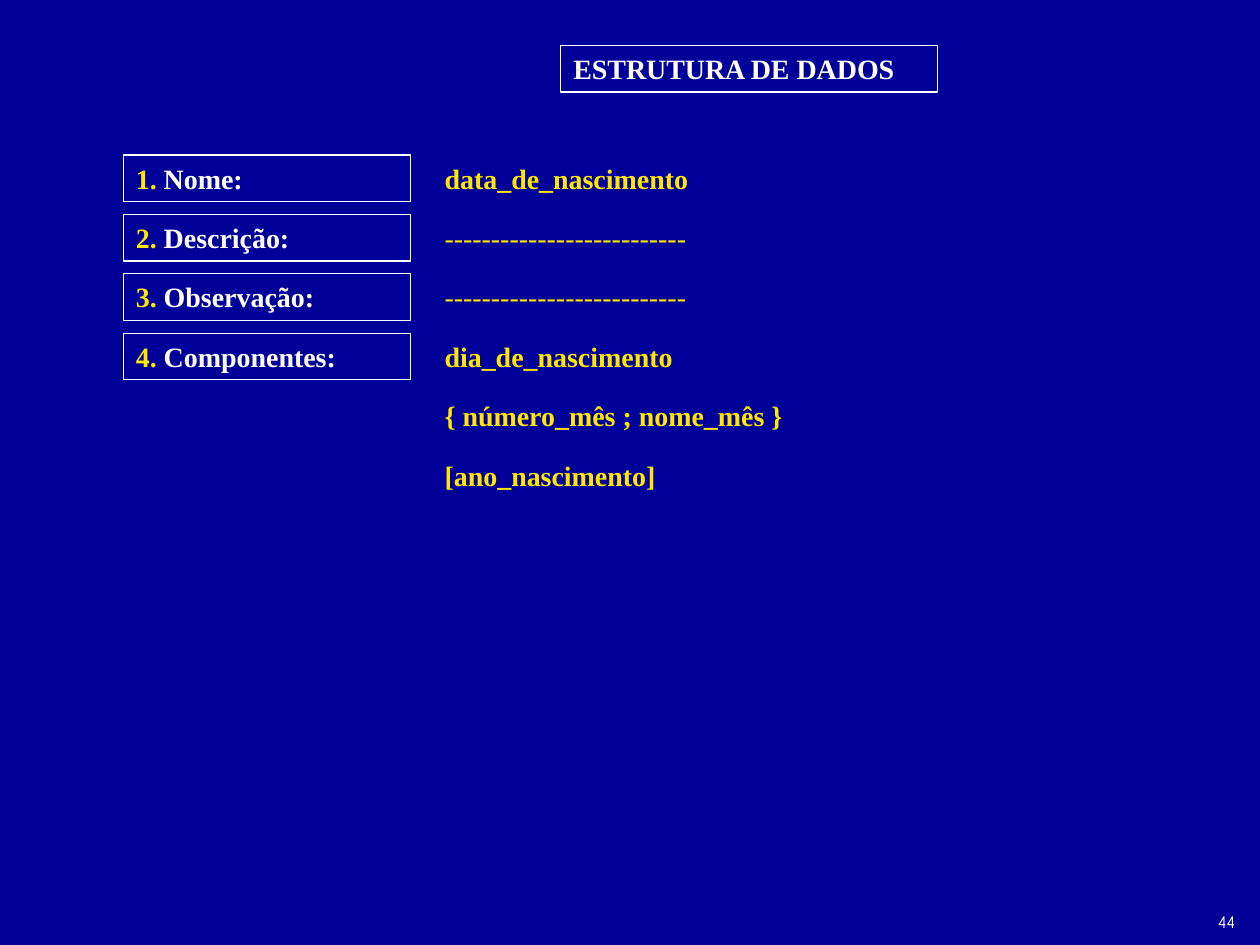
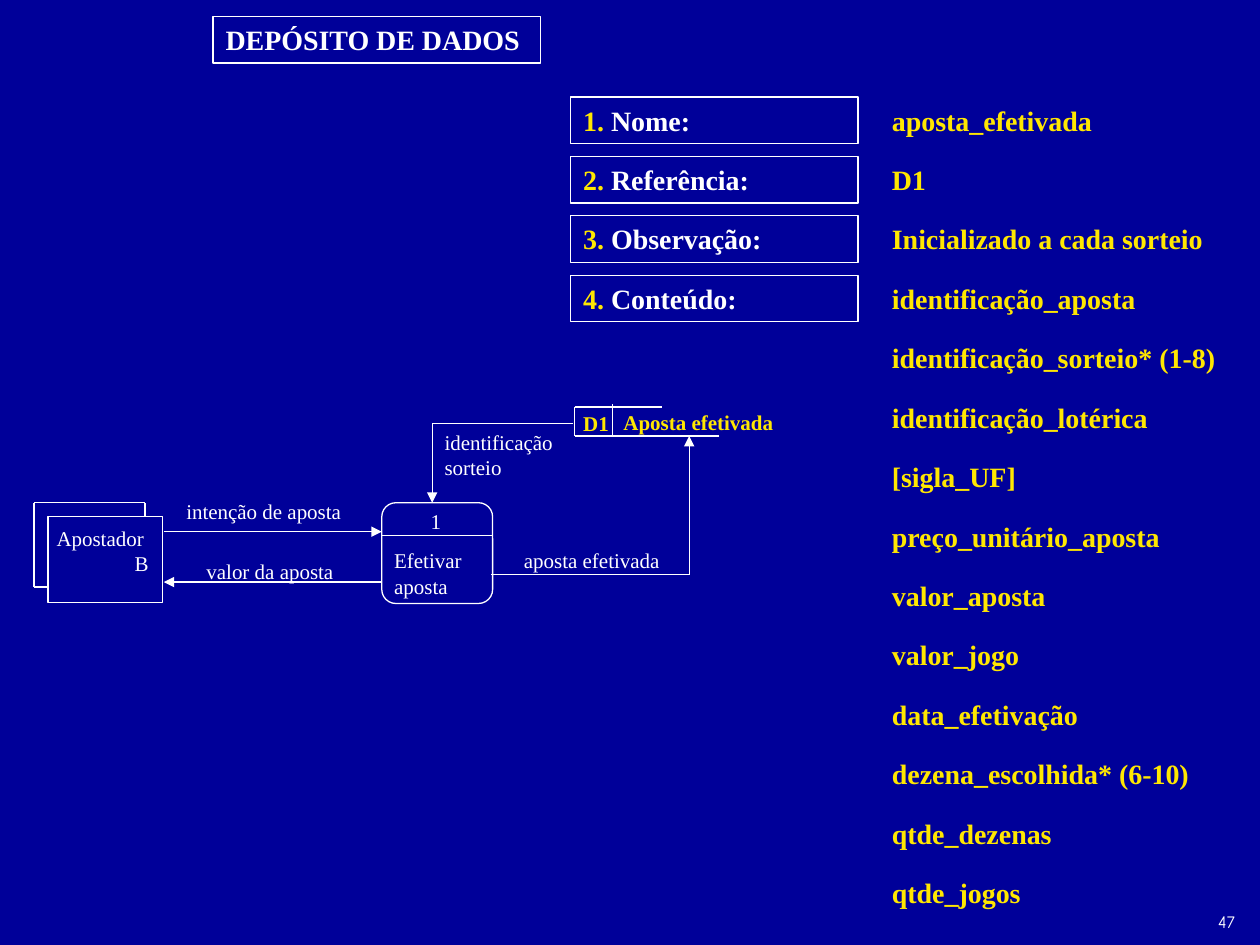
from itertools import pairwise

from lxml import etree
from pptx import Presentation
from pptx.dml.color import RGBColor
from pptx.enum.shapes import MSO_CONNECTOR, MSO_SHAPE
from pptx.enum.text import MSO_ANCHOR, MSO_AUTO_SIZE, PP_ALIGN
from pptx.oxml.ns import qn
from pptx.util import Inches, Pt

STRAIGHT = MSO_CONNECTOR.STRAIGHT
RECT, ROUNDED = MSO_SHAPE.RECTANGLE, MSO_SHAPE.ROUNDED_RECTANGLE
TOP, LEFT, NO_FIT = MSO_ANCHOR.TOP, PP_ALIGN.LEFT, MSO_AUTO_SIZE.NONE

BLUE = RGBColor(0x00, 0x00, 0x99)
WHITE = RGBColor(0xFF, 0xFF, 0xFF)
YELLOW = RGBColor(0xFF, 0xE7, 0x01)
SERIF, NUMBER_FONT = "Times New Roman", "Comic Neue"

# The slide is a grid of 100 columns by 75 rows
CELL = Inches(0.1)
COLS, ROWS = 100, 75
BOX_H = 3.7
LABEL_W = 22.8
VALUE_W = 29.1
VALUE_OFFSET = 24.5
FIELD_STEP = 61.3 / 13
TITLE_ONLY = 5


def grid(*cells):
    return [round(c * CELL) for c in cells]


def format_text(tf, size, color, bold=False, font=SERIF):
    tf.word_wrap = True
    tf.auto_size = NO_FIT
    tf.vertical_anchor = TOP
    for p in tf.paragraphs:
        p.alignment = LEFT
        for r in p.runs:
            r.font.name = font
            r.font.size = Pt(size)
            r.font.bold = bold
            r.font.color.rgb = color


def outline(sp):
    sp.fill.background()
    sp.line.color.rgb = WHITE
    sp.line.width = Pt(0.75)


def add_text(s, text, x, y, w, h, size=12, color=WHITE, bold=False, font=SERIF):
    tf = s.shapes.add_textbox(*grid(x, y, w, h)).text_frame
    tf.text = text
    format_text(tf, size, color, bold, font)
    return tf


def add_outline(s, kind, x, y, w, h):
    sp = s.shapes.add_shape(kind, *grid(x, y, w, h))
    sp.shadow.inherit = False
    outline(sp)
    return sp


def add_path(s, *points, arrow=False):
    """Straight lines through the points, with an optional head at the last."""
    for start, end in pairwise(points):
        line = s.shapes.add_connector(STRAIGHT, *grid(*start, *end))
        line.line.color.rgb = WHITE
        line.line.width = Pt(0.75)
        sp_pr = line._element.spPr
        etree.SubElement(sp_pr, qn("a:effectLst"))
        if arrow and end == points[-1]:
            etree.SubElement(line.line._get_or_add_ln(), qn("a:tailEnd"), type="triangle")


def add_slide(prs, title, x, y, w, number):
    s = prs.slides.add_slide(prs.slide_layouts[TITLE_ONLY])
    sp = s.shapes.title
    sp.left, sp.top, sp.width, sp.height = grid(x, y, w, BOX_H)
    outline(sp)
    sp.text_frame.text = title
    format_text(sp.text_frame, 16, WHITE, bold=True)
    add_text(s, number, 95.7, 71.8, 3.9, 2.7, size=10, font=NUMBER_FONT)
    return s


def add_label(s, number, name, x, y):
    sp = add_outline(s, RECT, x, y, LABEL_W, BOX_H)
    p = sp.text_frame.paragraphs[0]
    number_run, name_run = p.add_run(), p.add_run()
    number_run.text, name_run.text = f"{number}.", f" {name}:"
    format_text(sp.text_frame, 16, WHITE, bold=True)
    number_run.font.color.rgb = YELLOW


def add_fields(s, x, y, labels, values):
    """Numbered labels with their values beside them, one per step."""
    for i, name in enumerate(labels):
        add_label(s, i + 1, name, x, y + i * FIELD_STEP)
    for i, value in enumerate(values):
        add_text(s, value, x + VALUE_OFFSET, y + i * FIELD_STEP, VALUE_W, BOX_H,
                 size=16, color=YELLOW, bold=not value.startswith("--"))


def add_entity(s):
    add_path(s, (11.5, 41), (11.5, 39.9), (2.7, 39.9), (2.7, 46.6), (3.8, 46.6))
    add_outline(s, RECT, 3.8, 41, 9.1, 6.8)
    tf = add_text(s, "Apostador\nB", 3.5, 41.2, 10.2, 5)
    tf.paragraphs[1]._p.get_or_add_pPr().set("marL", str(Inches(0.62)))


def add_process(s):
    sp = add_outline(s, ROUNDED, 30.3, 39.9, 8.8, 8)
    sp.adjustments[0] = 0.14
    add_path(s, (30.3, 42.5), (39.1, 42.5))
    add_text(s, "1", 33.2, 39.9, 4.2, 3)
    add_text(s, "Efetivar aposta", 30.3, 43, 9, 5)


def add_store(s):
    add_path(s, (57.1, 34.6), (45.6, 34.6), (45.6, 32.3), (52.5, 32.3))
    add_path(s, (48.6, 32.1), (48.6, 34.5))
    add_text(s, "D1", 45.3, 32.1, 4.9, 3, color=YELLOW, bold=True)
    add_text(s, "Aposta efetivada", 48.5, 32, 15.7, 3, color=YELLOW, bold=True)


def add_flows(s):
    flows = [
        ("intenção de aposta", (13.8, 39.1, 16.5, 3), [(13, 42.2), (30.3, 42.2)]),
        ("valor da aposta", (15.4, 43.8, 16.5, 3), [(30.3, 46.2), (13, 46.2)]),
        ("identificação sorteio", (34.3, 33.6, 12.6, 5),
         [(45.5, 33.6), (34.3, 33.6), (34.3, 39.9)]),
        ("aposta efetivada", (40.6, 43, 14.2, 3),
         [(39, 45.6), (54.7, 45.6), (54.7, 34.6)]),
    ]
    for name, place, points in flows:
        add_text(s, name, *place)
        add_path(s, *points, arrow=True)


def main():
    prs = Presentation()
    prs.slide_width, prs.slide_height = grid(COLS, ROWS)
    fill = prs.slide_master.background.fill
    fill.solid()
    fill.fore_color.rgb = BLUE

    s = add_slide(prs, "ESTRUTURA DE DADOS", 44.5, 3.6, 29.9, "44")
    dashes = "-" * 26
    add_fields(s, 9.8, 12.3,
               ["Nome", "Descrição", "Observação", "Componentes"],
               ["data_de_nascimento", dashes, dashes, "dia_de_nascimento",
                "{ número_mês ; nome_mês }", "[ano_nascimento]"])

    s = add_slide(prs, "DEPÓSITO DE DADOS", 16.9, 1.3, 26, "47")
    add_fields(s, 45.3, 7.7,
               ["Nome", "Referência", "Observação", "Conteúdo"],
               ["aposta_efetivada", "D1", "Inicializado a cada sorteio",
                "identificação_aposta", "identificação_sorteio* (1-8)",
                "identificação_lotérica", "[sigla_UF]", "preço_unitário_aposta",
                "valor_aposta", "valor_jogo", "data_efetivação",
                "dezena_escolhida* (6-10)", "qtde_dezenas", "qtde_jogos"])
    add_entity(s)
    add_process(s)
    add_store(s)
    add_flows(s)

    prs.save("out.pptx")


if __name__ == "__main__":
    main()
